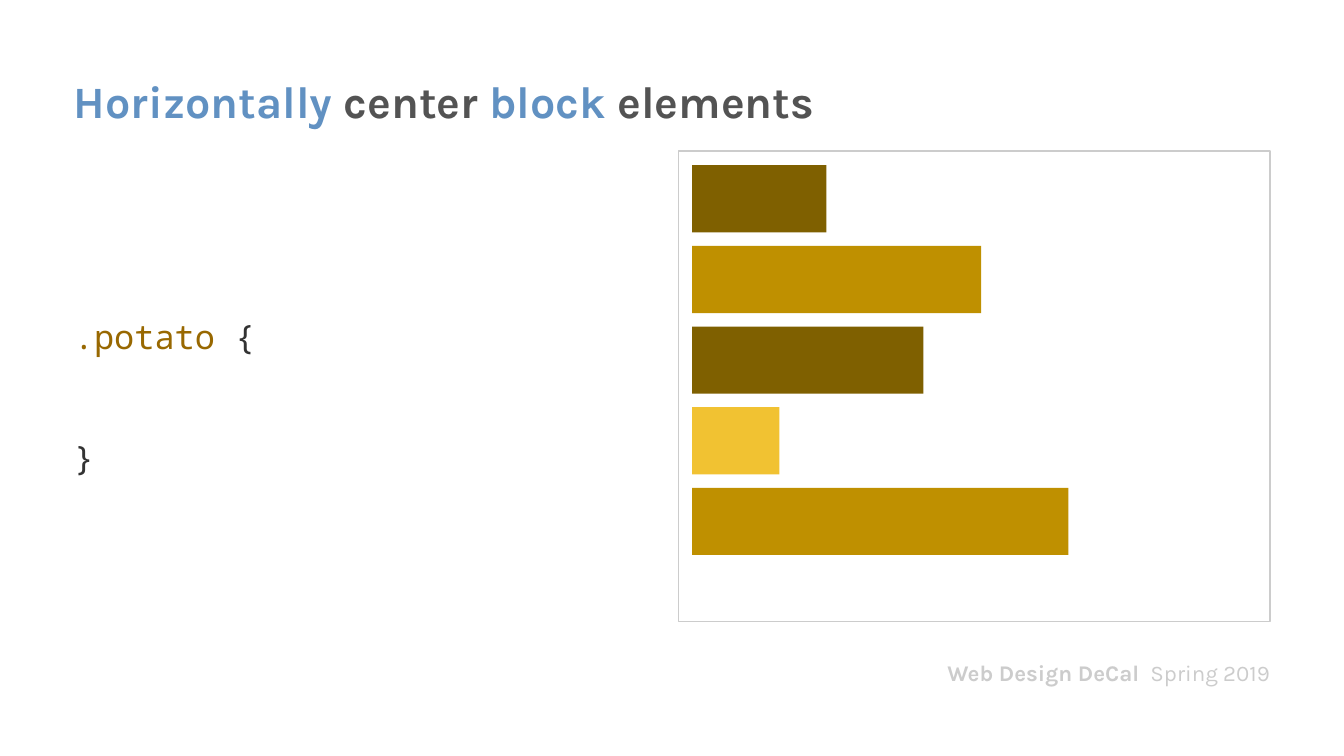
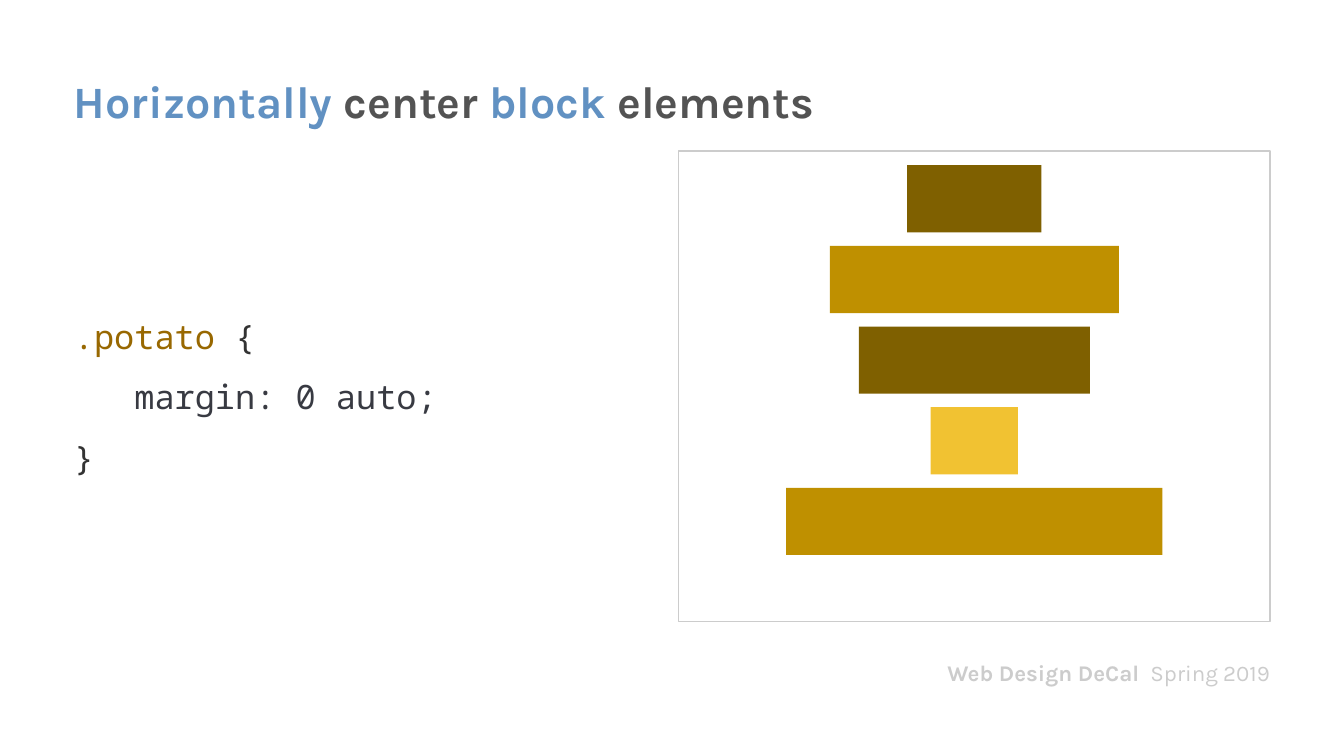
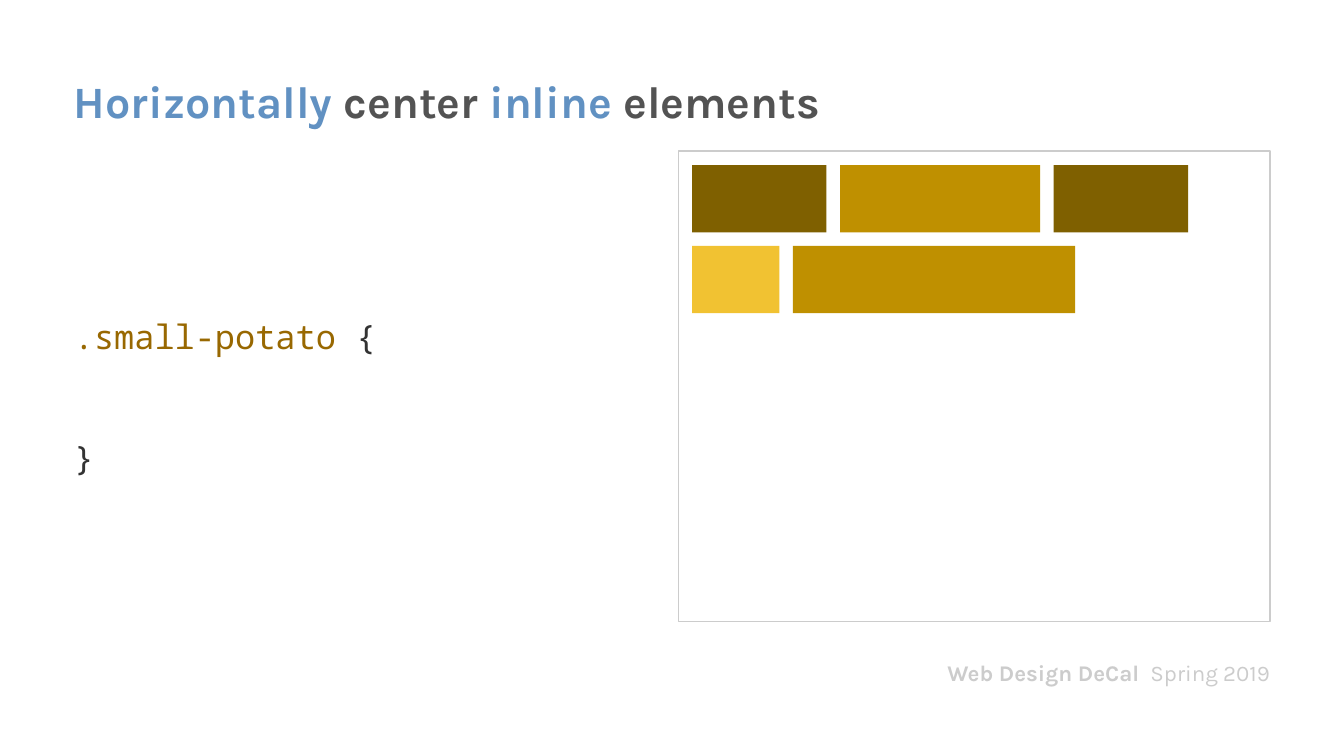
from dataclasses import dataclass

from pptx import Presentation
from pptx.dml.color import RGBColor
from pptx.enum import shapes, text
from pptx.util import Inches, Pt


@dataclass(frozen=True)
class Theme:
    """Colours, fonts and type sizes shared by the slides."""

    accent: str = "6191C2"
    heading: str = "535353"
    pale: str = "CCCCCC"
    selector: str = "986801"
    brace: str = "333333"
    declaration: str = "383A42"
    potatoes: tuple = ("7F6000", "BF9000", "7F6000", "F1C232", "BF9000")
    sans: str = "Karla"
    mono: str = "Noto Sans Mono"
    title_size: int = 24
    code_size: int = 18
    footer_size: int = 12
    code_line: float = 32.4
    code_indent: float = 0.45


THEME = Theme()
SLIDE_WIDTH = 10
SLIDE_HEIGHT = SLIDE_WIDTH * 9 / 16
MARGIN, COLUMN_WIDTH = 0.55, 4.4
CONTENT_TOP, CONTENT_HEIGHT = SLIDE_HEIGHT / 5, 3.5
FRAME_LEFT = SLIDE_WIDTH - MARGIN - COLUMN_WIDTH
FRAME_PADDING, BAR_TOP = 0.1, 1.23
BAR_HEIGHT, BAR_GAP = 0.5, 0.1
BLOCK_WIDTHS = (1, 2.15, 1.72, 0.65, 2.8)
INLINE_WIDTHS = (1, 1.49, 1, 0.65, 2.1)


def place(shape, left, top, width, height):
    """Move and size a shape in inches."""
    shape.left, shape.top = Inches(left), Inches(top)
    shape.width, shape.height = Inches(width), Inches(height)


def prepare_frame(shape):
    """Give a shape wrapped, middle-anchored text without insets."""
    frame = shape.text_frame
    frame.margin_left = frame.margin_top = 0
    frame.margin_right = frame.margin_bottom = 0
    frame.auto_size = text.MSO_AUTO_SIZE.NONE
    frame.word_wrap = True
    frame.vertical_anchor = text.MSO_ANCHOR.MIDDLE
    return frame


def style_paragraph(paragraph, font_name, size, alignment=text.PP_ALIGN.LEFT):
    """Set the font and alignment that all runs of a paragraph share."""
    paragraph.font.name = font_name
    paragraph.font.size = Pt(size)
    paragraph.alignment = alignment


def add_run(paragraph, words, color):
    """Append coloured words to a paragraph."""
    run = paragraph.add_run()
    run.text = words
    run.font.color.rgb = RGBColor.from_string(color)
    return run


def set_title(slide, kind):
    """Write the two-colour title for one kind of element."""
    title = slide.shapes.title
    place(title, MARGIN, 0.5, 8.9, 0.5)
    paragraph = prepare_frame(title).paragraphs[0]
    style_paragraph(paragraph, THEME.sans, THEME.title_size)
    paragraph.font.bold = True
    add_run(paragraph, "Horizontally", THEME.accent)
    add_run(paragraph, " center ", THEME.heading)
    add_run(paragraph, kind, THEME.accent)
    add_run(paragraph, " elements", THEME.heading)


def add_text_box(slide, left, top, width, height):
    """Add a text box and return its prepared text frame."""
    box = slide.shapes.add_textbox(
        Inches(left), Inches(top), Inches(width), Inches(height)
    )
    return prepare_frame(box)


def add_footer(slide):
    """Add the course name and term at the bottom right."""
    paragraph = add_text_box(slide, 6.55, 4.88, 2.9, 0.25).paragraphs[0]
    style_paragraph(paragraph, THEME.sans, THEME.footer_size, text.PP_ALIGN.RIGHT)
    add_run(paragraph, "Web Design DeCal ", THEME.pale).font.bold = True
    add_run(paragraph, " Spring 2019", THEME.pale).font.bold = False


def add_code_line(paragraph, *parts):
    """Fill a paragraph with coloured pieces of code."""
    style_paragraph(paragraph, THEME.mono, THEME.code_size)
    paragraph.line_spacing = 1.5
    for words, color in parts:
        add_run(paragraph, words, color)


def add_rule(slide, selector, declaration):
    """Add a CSS rule, leaving a line's space if it has no declaration."""
    frame = add_text_box(slide, MARGIN, CONTENT_TOP, COLUMN_WIDTH, CONTENT_HEIGHT)
    add_code_line(
        frame.paragraphs[0], (selector, THEME.selector), (" {", THEME.brace)
    )
    if declaration:
        paragraph = frame.add_paragraph()
        add_code_line(paragraph, (declaration, THEME.declaration))
        properties = paragraph._p.get_or_add_pPr()
        properties.set("marL", str(Inches(THEME.code_indent)))
        properties.set("indent", "0")
    closing = frame.add_paragraph()
    add_code_line(closing, ("}", THEME.brace))
    if not declaration:
        closing.space_before = Pt(THEME.code_line)


def add_rectangle(slide, left, top, width, height, fill=None, line=None):
    """Add a rectangle with an optional fill and outline."""
    shape = slide.shapes.add_shape(
        shapes.MSO_SHAPE.RECTANGLE,
        Inches(left), Inches(top), Inches(width), Inches(height),
    )
    shape.shadow.inherit = False
    if fill:
        shape.fill.solid()
        shape.fill.fore_color.rgb = RGBColor.from_string(fill)
    else:
        shape.fill.background()
    if line:
        shape.line.color.rgb = RGBColor.from_string(line)
        shape.line.width = Pt(0.75)
    else:
        shape.line.fill.background()


def stacked_positions(widths, centered):
    """Give each block its own row, at the left or in the centre."""
    for row, width in enumerate(widths):
        offset = (COLUMN_WIDTH - width) / 2 if centered else FRAME_PADDING
        yield FRAME_LEFT + offset, row


def inline_positions(widths):
    """Set bars side by side and wrap those that pass the frame's edge."""
    start = left = FRAME_LEFT + FRAME_PADDING
    limit = FRAME_LEFT + COLUMN_WIDTH - FRAME_PADDING
    row = 0
    for width in widths:
        if left + width > limit:
            left, row = start, row + 1
        yield left, row
        left += width + BAR_GAP


def add_demo(slide, widths, positions):
    """Draw the framed result of the rule."""
    add_rectangle(
        slide, FRAME_LEFT, CONTENT_TOP, COLUMN_WIDTH, CONTENT_HEIGHT, line=THEME.pale
    )
    for width, (left, row), color in zip(widths, positions, THEME.potatoes):
        top = BAR_TOP + row * (BAR_HEIGHT + BAR_GAP)
        add_rectangle(slide, left, top, width, BAR_HEIGHT, fill=color)


def add_lesson(presentation, kind, selector, declaration, widths, positions):
    """Add a slide with a rule beside its result."""
    slide = presentation.slides.add_slide(presentation.slide_layouts[5])
    add_footer(slide)
    set_title(slide, kind)
    add_rule(slide, selector, declaration)
    add_demo(slide, widths, positions)


def main():
    """Build and save the presentation."""
    presentation = Presentation()
    presentation.slide_width = Inches(SLIDE_WIDTH)
    presentation.slide_height = Inches(SLIDE_HEIGHT)
    for declaration in (None, "margin: 0 auto;"):
        positions = stacked_positions(BLOCK_WIDTHS, centered=bool(declaration))
        add_lesson(
            presentation, "block", ".potato", declaration, BLOCK_WIDTHS, positions
        )
    add_lesson(
        presentation, "inline", ".small-potato", None,
        INLINE_WIDTHS, inline_positions(INLINE_WIDTHS),
    )
    presentation.save("out.pptx")


if __name__ == "__main__":
    main()
